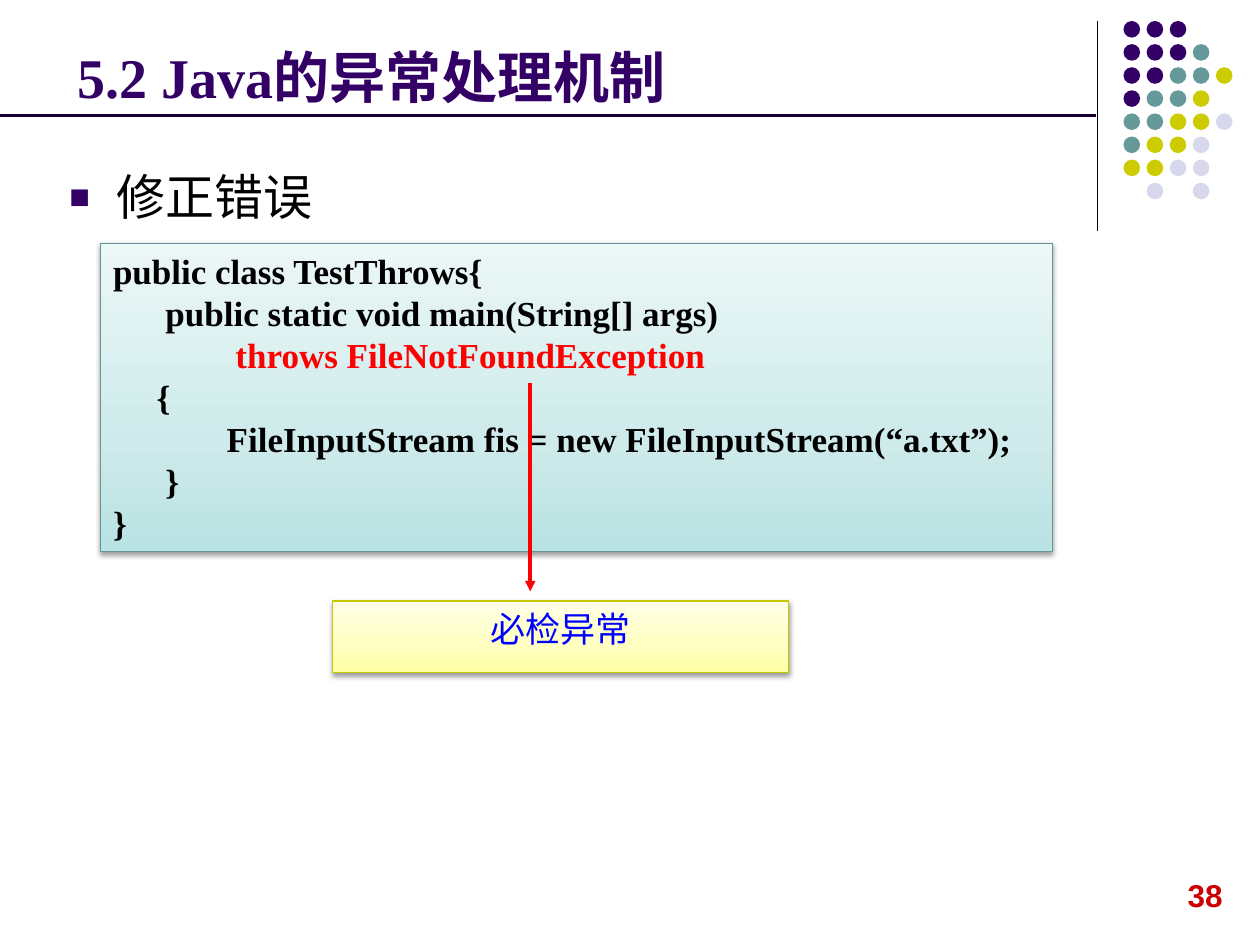
from copy import deepcopy
from dataclasses import dataclass

from lxml.etree import SubElement
from pptx import Presentation
from pptx.dml.color import RGBColor as RGB
from pptx.enum.shapes import MSO_CONNECTOR as CONNECTOR, MSO_SHAPE as SHAPE
from pptx.enum.text import MSO_ANCHOR as ANCHOR, MSO_AUTO_SIZE as AUTO_SIZE, PP_ALIGN as ALIGN
from pptx.oxml.ns import qn
from pptx.util import Pt


@dataclass(frozen=True)
class Theme:
    """Colours, fonts and type sizes of the slide."""
    serif: str = "Times New Roman"
    sans: str = "Arial"
    title: int = 32
    bullet: int = 28
    code: int = 20
    number: int = 18
    purple: str = "330066"
    rule: str = "190033"
    black: str = "000000"
    red: str = "FF0000"
    blue: str = "0000FF"
    number_red: str = "CC0000"
    teal_line: str = "639797"
    teal_stops: tuple = ("B9E2E2", "CEEAEA", "ECF7F7")
    yellow_line: str = "C8C800"
    yellow_stops: tuple = ("FFFFA5", "FFFFBF", "FFFFE7")
    dots: tuple = ("330066", "669999", "CCCC00", "D8D8EC")


THEME = Theme()
DOT_ROWS = ("000", "0001", "00112", "0112", "11223", "1223", "2233", " 3 3")
CODE = """public class TestThrows{
      public static void main(String[] args)
              throws FileNotFoundException
     {
             FileInputStream fis = new FileInputStream(“a.txt”);
      }
}"""


def add_xml(parent, tag, **attrs):
    """Append a DrawingML element and return it."""
    return SubElement(parent, qn(f"a:{tag}"), attrs)


def style(p, size, color, bold=False, align=ALIGN.LEFT, font=THEME.serif):
    """Format a whole paragraph."""
    p.alignment = align
    p.font.name = font
    p.font.size = Pt(size)
    p.font.bold = bold
    p.font.color.rgb = RGB.from_string(color)


def add_line(slide, x1, y1, x2, y2, color, width, arrow=False):
    """Draw a straight line, with an arrowhead at its end if asked."""
    line = slide.shapes.add_connector(CONNECTOR.STRAIGHT, Pt(x1), Pt(y1), Pt(x2), Pt(y2))
    line.line.color.rgb = RGB.from_string(color)
    line.line.width = Pt(width)
    if arrow:
        add_xml(line.line._get_or_add_ln(), "tailEnd", type="triangle")
    add_xml(line._element.spPr, "effectLst")


def add_dots(slide, left, top, pitch, size):
    """Draw the corner pattern of coloured dots as one group."""
    group = slide.shapes.add_group_shape()
    for row, codes in enumerate(DOT_ROWS):
        for col, code in enumerate(codes):
            if code == " ":
                continue
            dot = group.shapes.add_shape(SHAPE.OVAL, Pt(left + col * pitch),
                                         Pt(top + row * pitch), Pt(size), Pt(size))
            dot.shadow.inherit = False
            dot.fill.solid()
            dot.fill.fore_color.rgb = RGB.from_string(THEME.dots[int(code)])
            dot.line.fill.background()


def fill_placeholder(sp, box, text, anchor):
    """Place a placeholder, set its text and return the paragraph."""
    sp.left, sp.top, sp.width, sp.height = map(Pt, box)
    tf = sp.text_frame
    tf.text = text
    tf.auto_size = AUTO_SIZE.NONE
    tf.vertical_anchor = anchor
    return tf.paragraphs[0]


def add_bullet(p, color, percent, indent):
    """Give a paragraph a square bullet with a hanging indent."""
    p.space_before = Pt(0)
    pPr = p._p.get_or_add_pPr()
    pPr.set("marL", str(Pt(indent)))
    pPr.set("indent", str(-Pt(indent)))
    add_xml(add_xml(pPr, "buClr"), "srgbClr", val=color)
    add_xml(pPr, "buSzPct", val=str(percent * 1000))
    add_xml(pPr, "buFont", typeface=THEME.sans)
    add_xml(pPr, "buChar", char="■")


def add_shadow(sp):
    """Drop a soft shadow straight below a shape."""
    sp.shadow.inherit = False
    effects = sp._element.spPr.find(qn("a:effectLst"))
    shadow = add_xml(effects, "outerShdw", blurRad=str(Pt(3.1)), dist=str(Pt(1.6)),
                     dir="5400000", rotWithShape="0")
    add_xml(add_xml(shadow, "srgbClr", val=THEME.black), "alpha", val="38000")


def add_panel(slide, box, stops, line, text):
    """Add a shadowed gradient box and return its paragraphs."""
    sp = slide.shapes.add_shape(SHAPE.RECTANGLE, *map(Pt, box))
    sp.fill.gradient()
    sp.fill.gradient_angle = 90
    gs_list = sp._element.spPr.find(f".//{qn('a:gsLst')}")
    gs_list.append(deepcopy(gs_list[-1]))
    for stop, color, position in zip(sp.fill.gradient_stops, stops, (0, 0.35, 1)):
        stop.color.rgb = RGB.from_string(color)
        stop.position = position
    sp.line.color.rgb = RGB.from_string(line)
    sp.line.width = Pt(0.75)
    add_shadow(sp)
    tf = sp.text_frame
    tf.text = text
    tf.word_wrap = True
    tf.vertical_anchor = ANCHOR.TOP
    return tf.paragraphs


def add_number(slide, box, text):
    """Add the slide number."""
    tf = slide.shapes.add_textbox(*map(Pt, box)).text_frame
    tf.text = text
    tf.word_wrap = False
    style(tf.paragraphs[0], THEME.number, THEME.number_red, True, font=THEME.sans)


def main():
    """Build the slide and save it."""
    prs = Presentation()
    prs.slide_width, prs.slide_height = Pt(720), Pt(540)
    slide = prs.slides.add_slide(prs.slide_layouts[1])
    title, body = slide.placeholders

    add_line(slide, 627, 12, 627, 132, THEME.black, 0.75)
    add_dots(slide, 642, 12, 13.2, 9.5)
    add_number(slide, (671.5, 497, 34.5, 29), "38")

    p = fill_placeholder(body, (32.5, 74, 594, 58.5), "修正错误", ANCHOR.BOTTOM)
    add_bullet(p, THEME.purple, 70, 27)
    style(p, THEME.bullet, THEME.black)

    for p in add_panel(slide, (57.5, 139, 544, 176), THEME.teal_stops, THEME.teal_line, CODE):
        style(p, THEME.code, THEME.red if "throws" in p.text else THEME.black, True)

    add_line(slide, 0, 66, 626.5, 66, THEME.rule, 2.25)
    p = fill_placeholder(title, (37, 9.5, 594, 57), "5.2 Java的异常处理机制", ANCHOR.BOTTOM)
    style(p, THEME.title, THEME.purple, True)

    for p in add_panel(slide, (190, 343.5, 260.5, 41), THEME.yellow_stops,
                       THEME.yellow_line, "必检异常"):
        style(p, THEME.code, THEME.blue, align=ALIGN.CENTER)
    add_line(slide, 303, 219, 303, 338, THEME.red, 2, arrow=True)

    prs.save("out.pptx")


if __name__ == "__main__":
    main()
